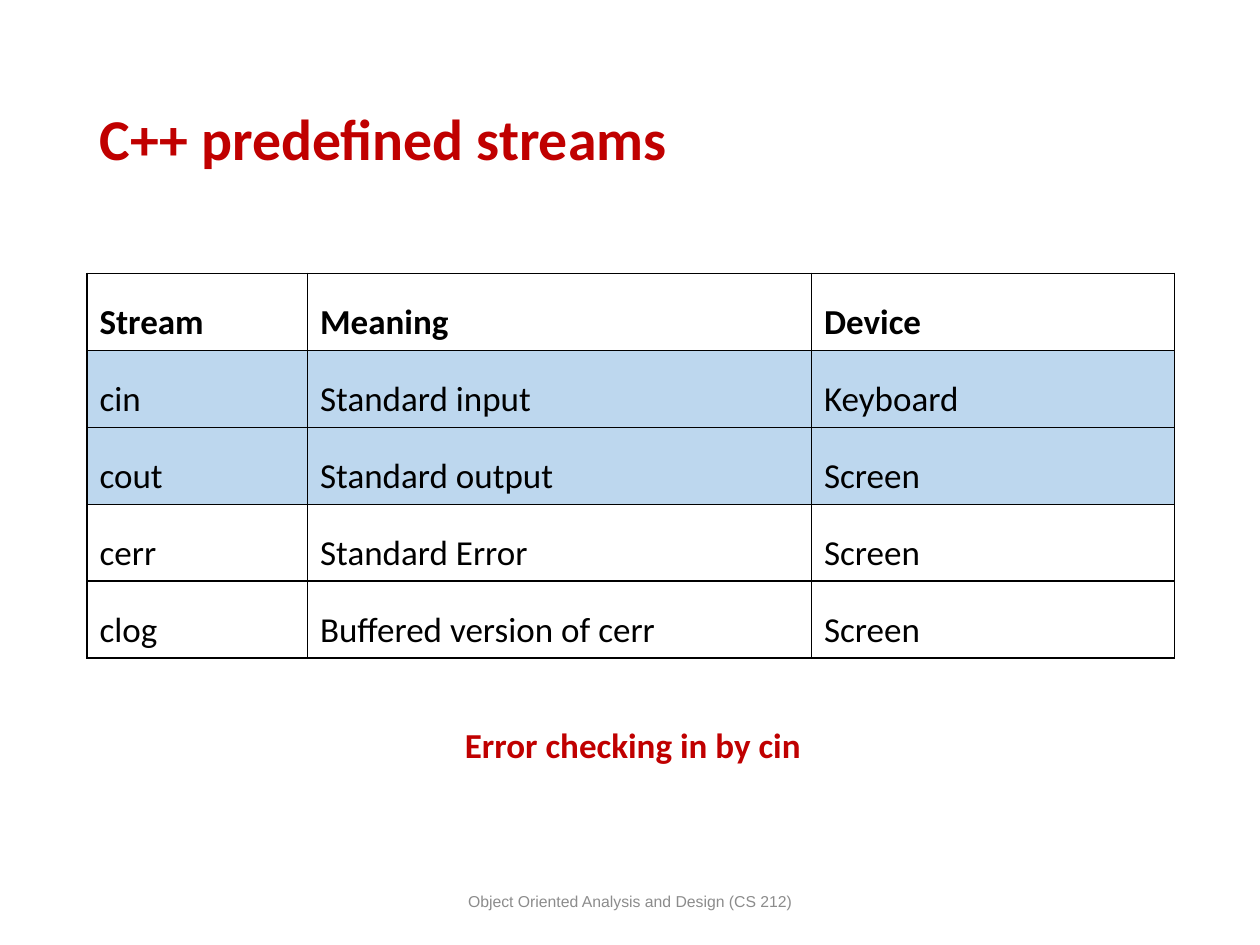
from lxml.etree import SubElement
from pptx import Presentation
from pptx.dml.color import RGBColor
from pptx.enum.text import MSO_ANCHOR, PP_ALIGN
from pptx.oxml.ns import qn
from pptx.util import Inches, Pt

RED, BLACK, GREY, BLUE = "C00000", "000000", "8C8C8C", "BDD7EE"
LEFT, WIDTH = Inches(0.69), Inches(8.62)


def add_run(p, text, size, color, bold=False, font="Calibri"):
    r = p.add_run()
    r.text = text
    r.font.name, r.font.size, r.font.bold = font, Pt(size), bold
    r.font.color.rgb = RGBColor.from_string(color)


def add_borders(cell, color, width):
    tcPr = cell._tc.get_or_add_tcPr()
    for side in ("a:lnL", "a:lnR", "a:lnT", "a:lnB"):
        ln = SubElement(tcPr, qn(side), w=str(Pt(width)))
        fill = SubElement(ln, qn("a:solidFill"))
        SubElement(fill, qn("a:srgbClr"), val=color)


prs = Presentation()
prs.slide_width, prs.slide_height = Inches(10), Inches(7.5)
s = prs.slides.add_slide(prs.slide_layouts[5])

# Title
title = s.shapes.title
title.left, title.top, title.width, title.height = LEFT, Inches(0.4), WIDTH, Inches(1.45)
title.text_frame.vertical_anchor = MSO_ANCHOR.MIDDLE
p = title.text_frame.paragraphs[0]
p.alignment, p.line_spacing = PP_ALIGN.LEFT, 0.9
add_run(p, "C++ predefined streams", 33, RED, True)

# Table of streams
streams = [
    ("Stream", "Meaning", "Device"),
    ("cin", "Standard input", "Keyboard"),
    ("cout", "Standard output", "Screen"),
    ("cerr", "Standard Error", "Screen"),
    ("clog", "Buffered version of cerr", "Screen"),
]
highlighted = (1, 2)
row_height = Inches(0.61)
table = s.shapes.add_table(len(streams), 3, LEFT, Inches(2.17), WIDTH,
                           row_height * len(streams)).table
table.first_row = table.horz_banding = False
for column, width in zip(table.columns, (1.75, 4, 2.88)):
    column.width = Inches(width)
for i, row in enumerate(streams):
    for j, text in enumerate(row):
        cell = table.cell(i, j)
        cell.vertical_anchor = MSO_ANCHOR.MIDDLE
        add_borders(cell, BLACK, 1)
        if i in highlighted:
            cell.fill.solid()
            cell.fill.fore_color.rgb = RGBColor.from_string(BLUE)
        else:
            cell.fill.background()
        p = cell.text_frame.paragraphs[0]
        p.line_spacing = 1.5
        add_run(p, text, 20, BLACK, bold=i == 0)

# Note below the table
tf = s.shapes.add_textbox(Inches(3.59), Inches(5.69), Inches(3.01), Inches(0.44)).text_frame
tf.word_wrap = False
add_run(tf.paragraphs[0], "Error checking in by cin", 20, RED, True)

# Footer
tf = s.shapes.add_textbox(Inches(3.31), Inches(6.95), Inches(3.38), Inches(0.4)).text_frame
tf.word_wrap = True
tf.vertical_anchor = MSO_ANCHOR.MIDDLE
p = tf.paragraphs[0]
p.alignment = PP_ALIGN.CENTER
add_run(p, "Object Oriented Analysis and Design (CS 212)", 9, GREY, font="Arial")

prs.save("out.pptx")
